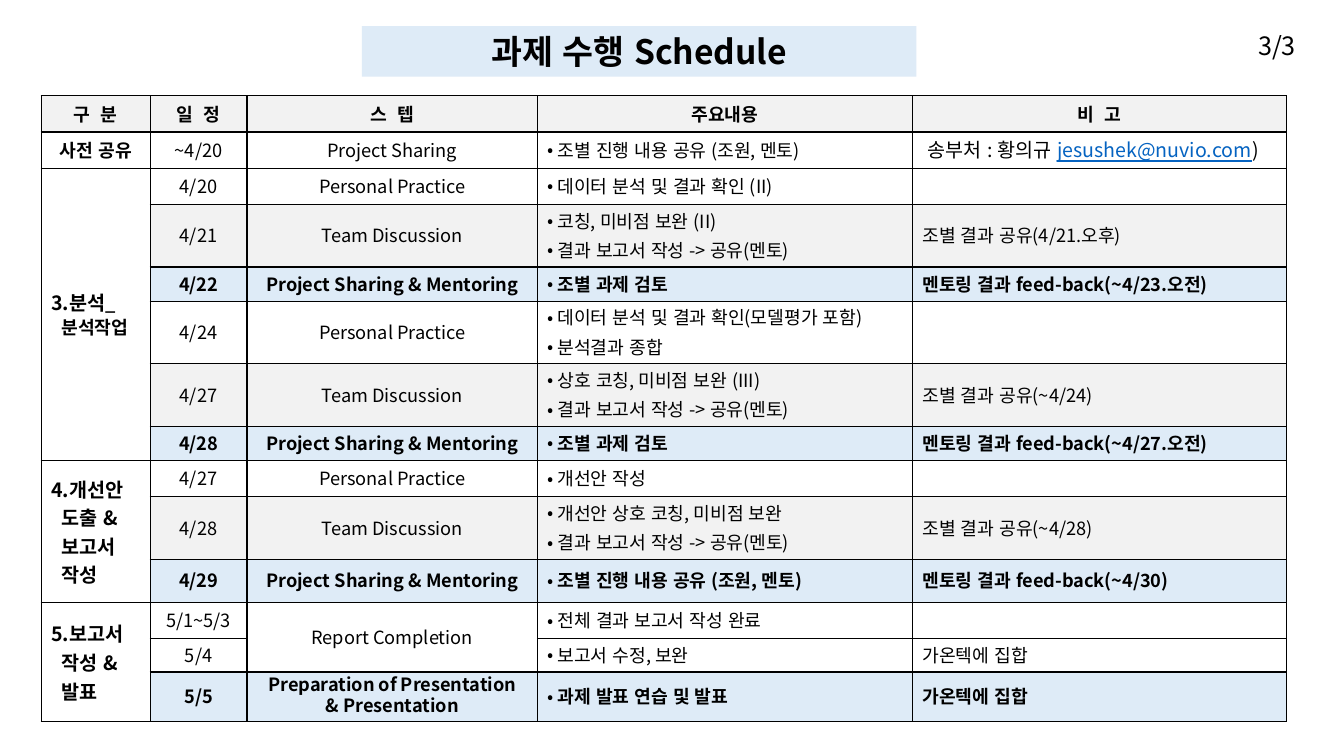
"""Build the task schedule slide with python-pptx."""
from lxml import etree
from pptx import Presentation
from pptx.dml.color import RGBColor
from pptx.enum.lang import MSO_LANGUAGE_ID as Language
from pptx.enum.text import MSO_ANCHOR as Anchor, MSO_AUTO_SIZE as AutoSize, PP_ALIGN as Align
from pptx.oxml.ns import qn
from pptx.util import Inches, Pt

FONT = "Noto Sans CJK KR"
BLACK = RGBColor(0x00, 0x00, 0x00)
WHITE = RGBColor(0xFF, 0xFF, 0xFF)
GREY = RGBColor(0xF2, 0xF2, 0xF2)
PALE_BLUE = RGBColor(0xDE, 0xEB, 0xF7)
LINK_BLUE = RGBColor(0x05, 0x63, 0xC1)

COLUMN_WIDTHS = [1.08, 0.96, 2.88, 3.72, 3.71]
ROW_HEIGHTS = [0.36, 0.36, 0.36, 0.62, 0.34, 0.62, 0.62, 0.34, 0.36, 0.62, 0.43, 0.36, 0.33, 0.49]
HEADERS = ["구  분", "일  정", "스  텝", "주요내용", "비  고"]

PRACTICE = "Personal Practice"
DISCUSSION = "Team Discussion"
MENTORING = "Project Sharing & Mentoring"
REPORT_SHARING = "결과 보고서 작성 -> 공유(멘토)"
FINAL_STEP = "Preparation of Presentation\n& Presentation"
STEP_FILLS = {DISCUSSION: GREY, MENTORING: PALE_BLUE, FINAL_STEP: PALE_BLUE}

SCHEDULE = [
    ("~4/20", "Project Sharing", "조별 진행 내용 공유 (조원, 멘토)", ""),
    ("4/20", PRACTICE, "데이터 분석 및 결과 확인 (II)", ""),
    ("4/21", DISCUSSION, "코칭, 미비점 보완 (II)\n" + REPORT_SHARING, "조별 결과 공유(4/21.오후)"),
    ("4/22", MENTORING, "조별 과제 검토", "멘토링 결과 feed-back(~4/23.오전)"),
    ("4/24", PRACTICE, "데이터 분석 및 결과 확인(모델평가 포함)\n분석결과 종합", ""),
    ("4/27", DISCUSSION, "상호 코칭, 미비점 보완 (III)\n" + REPORT_SHARING, "조별 결과 공유(~4/24)"),
    ("4/28", MENTORING, "조별 과제 검토", "멘토링 결과 feed-back(~4/27.오전)"),
    ("4/27", PRACTICE, "개선안 작성", ""),
    ("4/28", DISCUSSION, "개선안 상호 코칭, 미비점 보완\n" + REPORT_SHARING, "조별 결과 공유(~4/28)"),
    ("4/29", MENTORING, "조별 진행 내용 공유 (조원, 멘토)", "멘토링 결과 feed-back(~4/30)"),
    ("5/1~5/3", "Report Completion", "전체 결과 보고서 작성 완료", ""),
    ("5/4", "", "보고서 수정, 보완", "가온텍에 집합"),
    ("5/5", FINAL_STEP, "과제 발표 연습 및 발표", "가온텍에 집합"),
]
CONTACT_RUNS = [(" ", 13, BLACK), ("송부처 : 황의규 ", 14, BLACK),
                ("jesushek@nuvio.com", 14, LINK_BLUE), (")", 14, BLACK)]


def style_run(run, size, bold=False, color=BLACK):
    """Set the fonts, language, size, weight and colour of a run."""
    run.font.name = FONT
    run.font.size = Pt(size)
    run.font.bold = bold
    run.font.color.rgb = color
    run.font.language_id = Language.KOREAN
    etree.SubElement(run.font._element, qn("a:ea"), typeface=FONT)


def write(frame, text, size=13, bold=False, align=Align.LEFT, spacing=None, before=None, after=None):
    """Fill a text frame with one formatted paragraph per line."""
    frame.text = text
    for paragraph in frame.paragraphs:
        paragraph.alignment = align
        paragraph.line_spacing = spacing
        paragraph.space_before = None if before is None else Pt(before)
        paragraph.space_after = None if after is None else Pt(after)
        for run in paragraph.runs:
            style_run(run, size, bold)


def add_bullets(frame):
    """Give every paragraph a hanging round bullet."""
    for paragraph in frame.paragraphs:
        properties = paragraph._p.get_or_add_pPr()
        properties.set("marL", str(Inches(0.1)))
        properties.set("indent", str(-Inches(0.1)))
        etree.SubElement(properties, qn("a:buFont"), typeface=FONT)
        etree.SubElement(properties, qn("a:buChar"), char="•")


def format_cell(cell, fill, bottom_width=1):
    """Set the borders, fill, margins and anchor of a cell."""
    properties = cell._tc.get_or_add_tcPr()
    for side, width in (("L", 1), ("R", 1), ("T", 1), ("B", bottom_width)):
        line = etree.SubElement(properties, qn("a:ln" + side), w=str(Pt(width)))
        solid = etree.SubElement(line, qn("a:solidFill"))
        etree.SubElement(solid, qn("a:srgbClr"), val=str(BLACK))
    cell.fill.solid()
    cell.fill.fore_color.rgb = fill
    cell.margin_top = cell.margin_bottom = 0
    cell.vertical_anchor = Anchor.MIDDLE


def write_contact(cell):
    """Write the recipient with an underlined address on one line."""
    cell.margin_right = 0
    paragraph = cell.text_frame.paragraphs[0]
    paragraph.line_spacing = 0.9
    for text, size, color in CONTACT_RUNS:
        run = paragraph.add_run()
        run.text = text
        style_run(run, size, color=color)
        run.font.underline = color == LINK_BLUE


def write_stage(table, first, last, text, size=14, spacing=None):
    """Merge the stage cells and indent the lines below the first."""
    stage = table.cell(first, 0)
    stage.merge(table.cell(last, 0))
    write(stage.text_frame, text, size, True, spacing=spacing)
    for paragraph in stage.text_frame.paragraphs[1:]:
        paragraph._p.get_or_add_pPr().set("marL", str(Inches(0.1)))
    return stage.text_frame


def write_schedule_row(table, row, entry):
    """Fill the date, step, content and remark of one row."""
    date, step, content, remark = entry
    fill = STEP_FILLS.get(step, WHITE)
    bold = fill == PALE_BLUE
    for column in range(len(HEADERS)):
        format_cell(table.cell(row, column), fill if column else WHITE)
    frames = [table.cell(row, column).text_frame for column in range(1, 5)]
    write(frames[0], date, bold=bold, align=Align.CENTER, spacing=0.9)
    if step:
        write(frames[1], step, bold=bold, align=Align.CENTER,
              spacing=0.7 if step == FINAL_STEP else 0.9, after=2)
    write(frames[2], content, bold=bold, spacing=0.9, before=2, after=2)
    add_bullets(frames[2])
    if remark:
        write(frames[3], remark, bold=bold, spacing=0.9)


def add_schedule(slide):
    """Add the schedule table."""
    table = slide.shapes.add_table(
        len(ROW_HEIGHTS), len(HEADERS), Inches(0.41), Inches(0.95),
        Inches(sum(COLUMN_WIDTHS)), Inches(sum(ROW_HEIGHTS))).table
    table.first_row = table.horz_banding = False
    for column, width in zip(table.columns, COLUMN_WIDTHS):
        column.width = Inches(width)
    for row, height in zip(table.rows, ROW_HEIGHTS):
        row.height = Inches(height)
    for column, header in enumerate(HEADERS):
        format_cell(table.cell(0, column), GREY, bottom_width=2)
        write(table.cell(0, column).text_frame, header, bold=True, align=Align.CENTER)
    for row, entry in enumerate(SCHEDULE, start=1):
        write_schedule_row(table, row, entry)
    write(table.cell(1, 0).text_frame, "사전 공유", bold=True, align=Align.CENTER, spacing=0.9)
    write_contact(table.cell(1, 4))
    analysis = write_stage(table, 2, 7, "3.분석\n분석작업", 13, 0.9)
    analysis.paragraphs[0].runs[0].font.size = Pt(14)
    underscore = analysis.paragraphs[0].add_run()
    underscore.text = "_"
    style_run(underscore, 13, True)
    write_stage(table, 8, 10, "4.개선안\n도출 &\n보고서\n작성")
    write_stage(table, 11, 13, "5.보고서\n작성 &\n발표")
    table.cell(11, 2).merge(table.cell(12, 2))


def add_heading(slide):
    """Place and format the slide title."""
    heading = slide.shapes.title
    heading.left, heading.top = Inches(3.59), Inches(0.26)
    heading.width, heading.height = Inches(5.5), Inches(0.5)
    heading.fill.solid()
    heading.fill.fore_color.rgb = PALE_BLUE
    write(heading.text_frame, "과제 수행 Schedule", 24, True, Align.CENTER, 1.0, 0)
    heading.text_frame.auto_size = AutoSize.NONE
    heading.text_frame.vertical_anchor = Anchor.MIDDLE


def add_page_count(slide):
    """Add the page count at the top right."""
    page_count = slide.shapes.add_textbox(Inches(12.38), Inches(0.25), Inches(0.58), Inches(0.4))
    page_count.text_frame.word_wrap = False
    write(page_count.text_frame, "3/3", 18)


def main():
    """Build and save the presentation."""
    deck = Presentation()
    deck.slide_width, deck.slide_height = Inches(13.33), Inches(7.5)
    slide = deck.slides.add_slide(deck.slide_layouts[5])
    add_schedule(slide)
    add_heading(slide)
    add_page_count(slide)
    deck.save("out.pptx")


if __name__ == "__main__":
    main()
